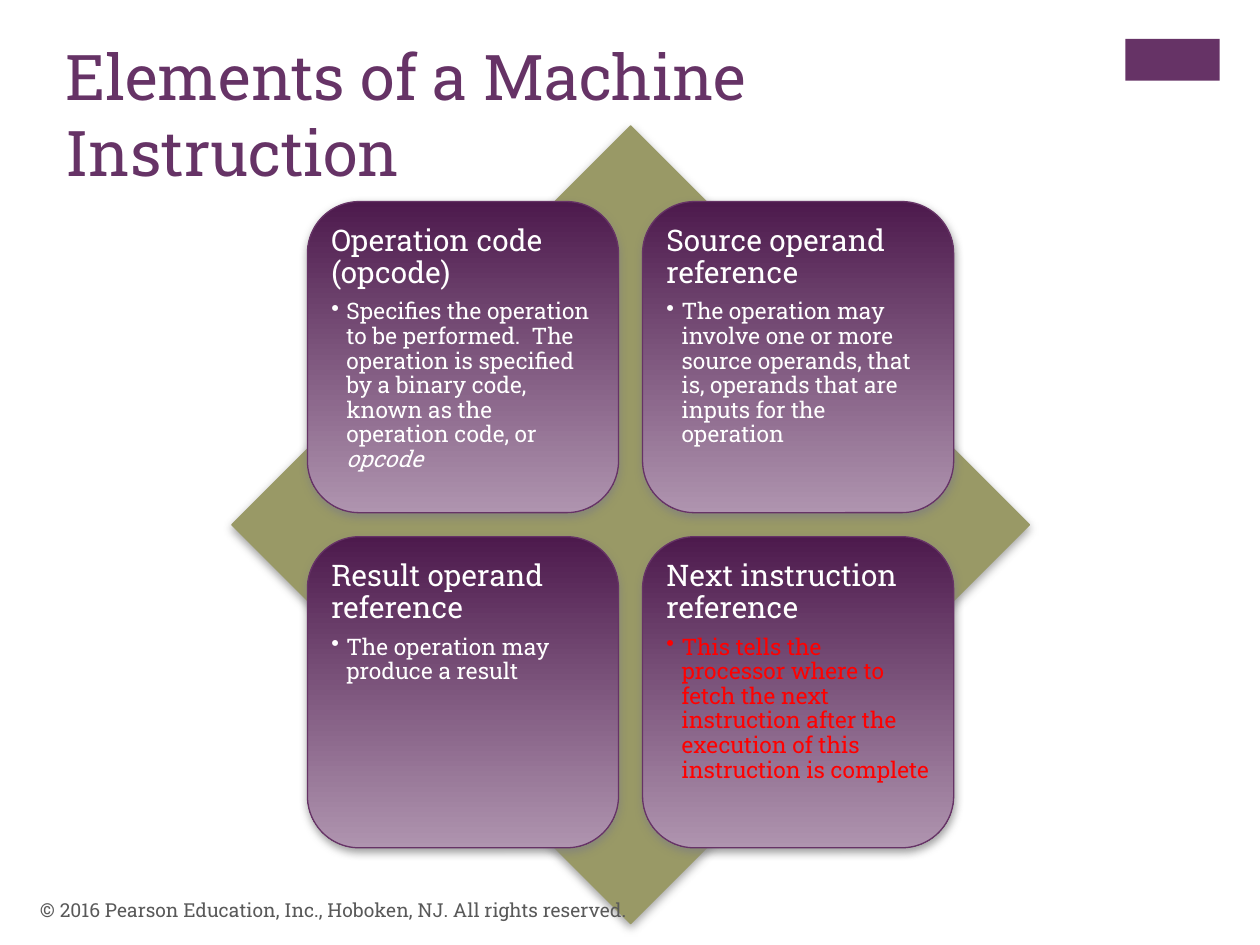
from dataclasses import dataclass

from lxml.etree import SubElement
from pptx import Presentation
from pptx.dml.color import RGBColor
from pptx.enum.shapes import MSO_SHAPE
from pptx.enum.text import MSO_ANCHOR, PP_ALIGN
from pptx.oxml.ns import qn
from pptx.util import Pt

FONT = "Roboto Slab"
PURPLE = RGBColor(0x66, 0x33, 0x66)
DARK_PURPLE = RGBColor(0x4D, 0x1A, 0x4D)
LIGHT_PURPLE = RGBColor(0xAF, 0x94, 0xAF)
OLIVE = RGBColor(0x99, 0x99, 0x66)
WHITE = RGBColor(0xFF, 0xFF, 0xFF)
RED = RGBColor(0xFF, 0x00, 0x00)
GRAY = RGBColor(0x59, 0x59, 0x59)

CARD_LEFT, CARD_TOP = 175.7, 115.2
CARD_SIZE = 177.8
CARD_PITCH = 191.5
CARD_INSET = 5
BULLET_INDENT = 8.64


@dataclass
class Card:
    heading: str
    detail: str
    term: str = ""
    detail_color: RGBColor = WHITE


CARDS = [
    Card("Operation code (opcode)",
         "Specifies the operation to be performed.  The operation is specified "
         "by a binary code, known as the operation code, or ",
         term="opcode"),
    Card("Source operand reference",
         "The operation may involve one or more source operands, that is, "
         "operands that are inputs for the operation"),
    Card("Result operand reference", "The operation may produce a result"),
    Card("Next instruction reference",
         "This tells the processor where to fetch the next instruction after "
         "the execution of this instruction is complete",
         detail_color=RED),
]


def add_run(paragraph, text: str, size: float, color: RGBColor, italic: bool = False) -> None:
    run = paragraph.add_run()
    run.text = text
    run.font.name = FONT
    run.font.size = Pt(size)
    run.font.color.rgb = color
    if italic:
        run.font.italic = True


def add_label(slide, text: str, left: float, top: float, width: float, height: float,
              size: float, color: RGBColor, anchor: MSO_ANCHOR) -> None:
    frame = slide.shapes.add_textbox(Pt(left), Pt(top), Pt(width), Pt(height)).text_frame
    frame.word_wrap = True
    frame.vertical_anchor = anchor
    add_run(frame.paragraphs[0], text, size, color)


def add_block(slide, preset: MSO_SHAPE, left: float, top: float, width: float, height: float):
    block = slide.shapes.add_shape(preset, Pt(left), Pt(top), Pt(width), Pt(height))
    block.shadow.inherit = False
    return block


def outline(block, color: RGBColor) -> None:
    block.line.color.rgb = color
    block.line.width = Pt(0.75)


def drop_shadow(block) -> None:
    """Give the block a soft gray shadow falling straight down."""
    effects = block._element.spPr.find(qn("a:effectLst"))
    shadow = SubElement(effects, qn("a:outerShdw"), blurRad=str(Pt(5)), dist=str(Pt(2)),
                        dir="5400000", rotWithShape="0")
    color = SubElement(shadow, qn("a:srgbClr"), val="808080")
    SubElement(color, qn("a:alpha"), val="75000")


def hang_bullet(paragraph) -> None:
    properties = paragraph._p.get_or_add_pPr()
    properties.set("marL", str(Pt(BULLET_INDENT)))
    properties.set("indent", str(-Pt(BULLET_INDENT)))
    SubElement(properties, qn("a:buChar"), char="•")


def add_card(slide, card: Card, left: float, top: float) -> None:
    block = add_block(slide, MSO_SHAPE.ROUNDED_RECTANGLE, left, top, CARD_SIZE, CARD_SIZE)
    block.fill.gradient()
    block.fill.gradient_angle = 270
    for stop, position, color in zip(block.fill.gradient_stops, (0, 1),
                                     (DARK_PURPLE, LIGHT_PURPLE)):
        stop.position = position
        stop.color.rgb = color
    outline(block, PURPLE)
    drop_shadow(block)

    frame = block.text_frame
    frame.word_wrap = True
    frame.vertical_anchor = MSO_ANCHOR.TOP
    frame.margin_left = frame.margin_right = Pt(CARD_INSET)
    frame.margin_top = frame.margin_bottom = Pt(CARD_INSET)

    heading, detail = frame.paragraphs[0], frame.add_paragraph()
    for paragraph, space_after in ((heading, 6), (detail, 2)):
        paragraph.alignment = PP_ALIGN.LEFT
        paragraph.line_spacing = 0.9
        paragraph.space_after = Pt(space_after)
    hang_bullet(detail)
    add_run(heading, card.heading, 17, WHITE)
    add_run(detail, card.detail, 13, card.detail_color)
    if card.term:
        add_run(detail, card.term, 13, card.detail_color, italic=True)


def main() -> None:
    deck = Presentation()
    deck.slide_width, deck.slide_height = Pt(720), Pt(540)
    slide = deck.slides.add_slide(deck.slide_layouts[6])

    corner = add_block(slide, MSO_SHAPE.RECTANGLE, 643, 22.3, 54, 23.8)
    corner.fill.solid()
    corner.fill.fore_color.rgb = PURPLE
    corner.line.fill.background()

    add_label(slide, "Elements of a Machine Instruction", 30.2, 18, 594.7, 87.8,
              36, PURPLE, MSO_ANCHOR.TOP)

    diamond = add_block(slide, MSO_SHAPE.DIAMOND, 132.5, 72, 455.8, 455.8)
    diamond.fill.solid()
    diamond.fill.fore_color.rgb = OLIVE
    outline(diamond, OLIVE)
    drop_shadow(diamond)

    for index, card in enumerate(CARDS):
        row, column = divmod(index, 2)
        add_card(slide, card, CARD_LEFT + column * CARD_PITCH, CARD_TOP + row * CARD_PITCH)

    add_label(slide, "© 2016 Pearson Education, Inc., Hoboken, NJ. All rights reserved.",
              15.8, 505.4, 482.4, 28.8, 11, GRAY, MSO_ANCHOR.MIDDLE)

    deck.save("out.pptx")


if __name__ == "__main__":
    main()
